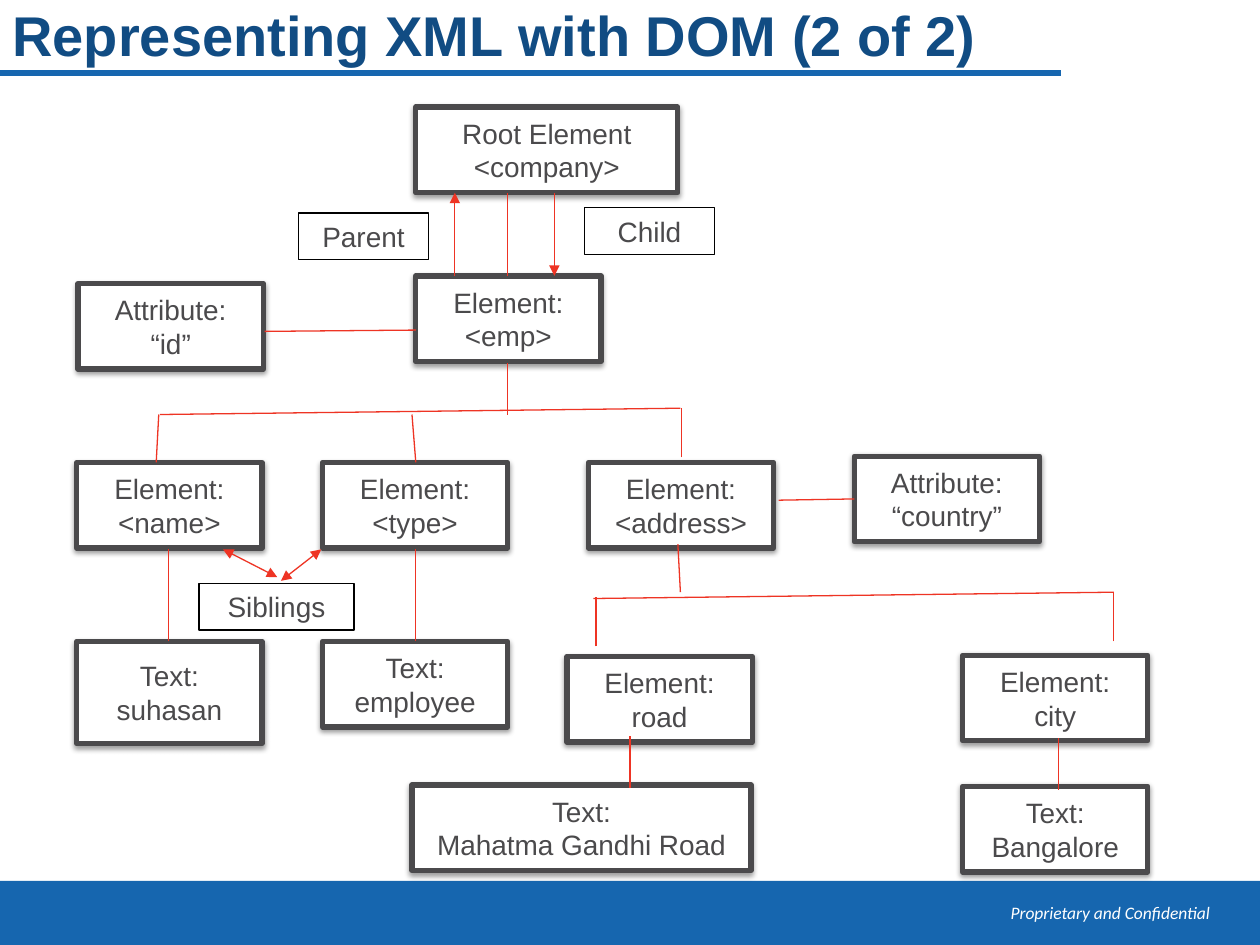
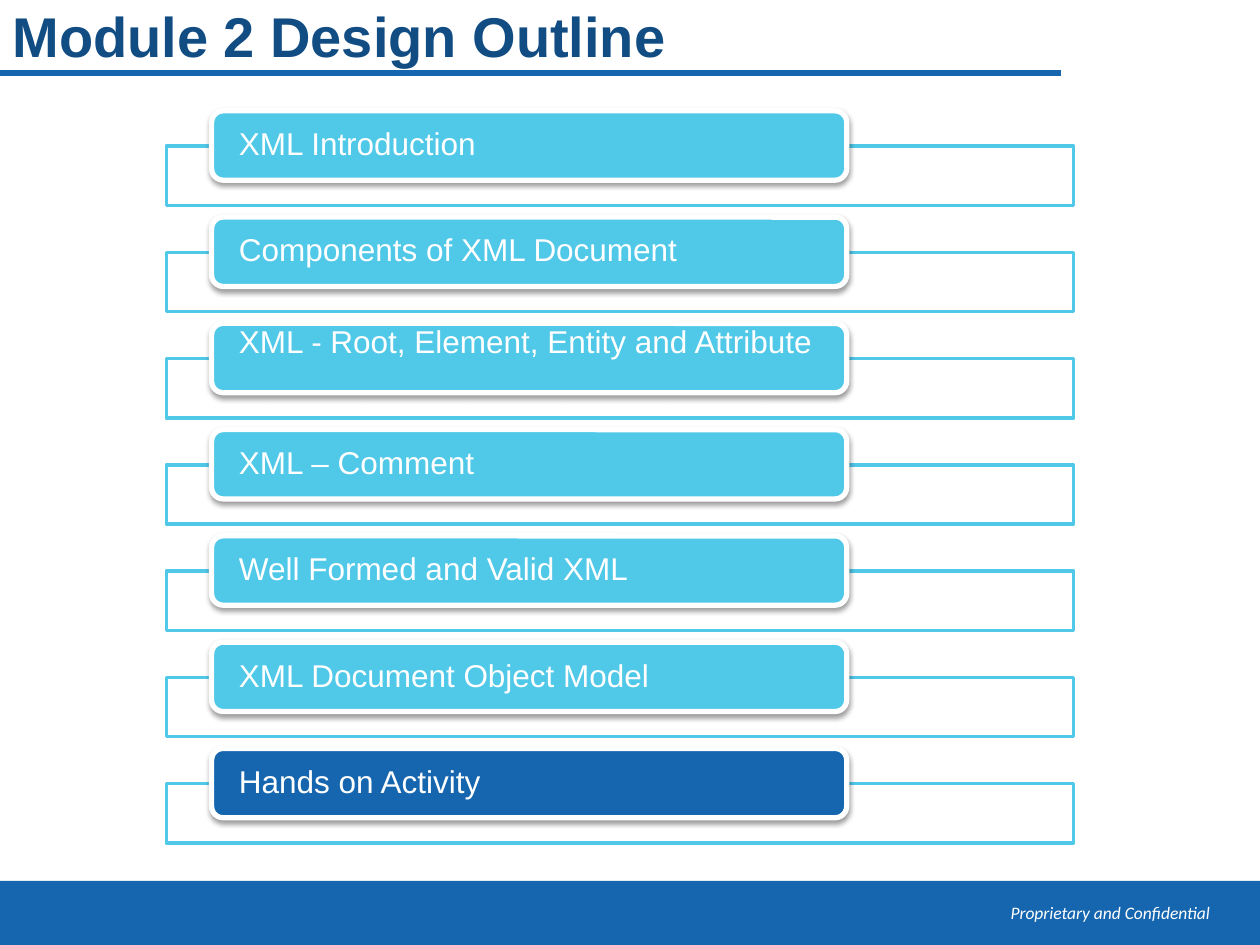
from lxml import etree
from pptx import Presentation
from pptx.dml.color import RGBColor
from pptx.enum.shapes import MSO_CONNECTOR, MSO_SHAPE
from pptx.enum.text import MSO_ANCHOR, PP_ALIGN
from pptx.oxml.ns import qn
from pptx.util import Inches, Pt

BLUE = RGBColor(0x16, 0x66, 0xAF)
NAVY = RGBColor(0x11, 0x4C, 0x83)
SKY = RGBColor(0x50, 0xC8, 0xE8)
RED = RGBColor(0xEE, 0x34, 0x24)
GRAY = RGBColor(0x4B, 0x4A, 0x4C)
WHITE = RGBColor(0xFF, 0xFF, 0xFF)
BLACK = RGBColor(0, 0, 0)

RECT, ROUND = MSO_SHAPE.RECTANGLE, MSO_SHAPE.ROUNDED_RECTANGLE
STRAIGHT = MSO_CONNECTOR.STRAIGHT
LEFT, CENTER, RIGHT = PP_ALIGN.LEFT, PP_ALIGN.CENTER, PP_ALIGN.RIGHT
TOP, MIDDLE = MSO_ANCHOR.TOP, MSO_ANCHOR.MIDDLE


def write(sp, text, size=16, color=GRAY, font="Arial", bold=False, italic=False,
          align=CENTER, anchor=MIDDLE, spacing=None, insets=(0.1, 0.05, 0.1, 0.05)):
    """Fill a shape with text, one paragraph per line."""
    tf = sp.text_frame
    tf.word_wrap = True
    tf.vertical_anchor = anchor
    tf.margin_left, tf.margin_top, tf.margin_right, tf.margin_bottom = map(Inches, insets)
    for i, line in enumerate(text.split("\n")):
        p = tf.add_paragraph() if i else tf.paragraphs[0]
        p.alignment = align
        if spacing:
            p.line_spacing = spacing
        r = p.add_run()
        r.text = line
        r.font.name, r.font.size = font, Pt(size)
        r.font.bold, r.font.italic = bold, italic
        r.font.color.rgb = color


class Deck:
    """Holds the deck style and the current slide."""

    def __init__(self):
        """Start an empty 10 by 7.5 inch deck."""
        self.prs = Presentation()
        self.prs.slide_width, self.prs.slide_height = Inches(10), Inches(7.5)
        self.s = None

    def slide(self, title, x, y, w, h):
        """Add a slide with footer band, title rule and title."""
        self.s = self.prs.slides.add_slide(self.prs.slide_layouts[6])
        self.shape(0, 6.99, 10, 0.51, fill=BLUE)
        self.text("Proprietary and Confidential", 7.35, 7.11, 2.35, 0.32, size=10,
                  color=WHITE, font="Calibri", italic=True, align=RIGHT, anchor=TOP)
        self.line(0, 0.58, 8.42, 0.58, color=BLUE, width=3)
        self.text(title, x, y, w, h, size=32, color=NAVY, bold=True,
                  align=LEFT, spacing=0.88)

    def text(self, text, x, y, w, h, **fmt):
        """Add a text box."""
        sp = self.s.shapes.add_textbox(Inches(x), Inches(y), Inches(w), Inches(h))
        write(sp, text, **fmt)

    def shape(self, x, y, w, h, kind=RECT, fill=None, line=None, width=0.75, shadow=False):
        """Add a preset shape, with a soft shadow below it if wanted."""
        sp = self.s.shapes.add_shape(kind, Inches(x), Inches(y), Inches(w), Inches(h))
        if fill is None:
            sp.fill.background()
        else:
            sp.fill.solid()
            sp.fill.fore_color.rgb = fill
        if line is None:
            sp.line.fill.background()
        else:
            sp.line.color.rgb = line
            sp.line.width = Pt(width)
        sp.shadow.inherit = False
        if shadow:
            effects = sp.element.spPr.find(qn("a:effectLst"))
            outer = etree.SubElement(effects, qn("a:outerShdw"), blurRad=str(Pt(3.1)),
                                     dist=str(Pt(1.6)), dir="5400000", rotWithShape="0")
            color = etree.SubElement(outer, qn("a:srgbClr"), val=str(BLACK))
            etree.SubElement(color, qn("a:alpha"), val="38000")
        return sp

    def line(self, x1, y1, x2, y2, color=RED, width=0.75, ends=()):
        """Add a straight line; ends names the ends that carry an arrowhead."""
        c = self.s.shapes.add_connector(STRAIGHT, Inches(x1), Inches(y1),
                                        Inches(x2), Inches(y2))
        c.line.color.rgb = color
        c.line.width = Pt(width)
        spPr = c.element.spPr
        for end in ends:
            etree.SubElement(spPr.find(qn("a:ln")), qn(f"a:{end}End"), type="triangle")
        etree.SubElement(spPr, qn("a:effectLst"))

    def node(self, text, x, y, w=1.47, h=0.68):
        """Add a tree node."""
        sp = self.shape(x, y, w, h, fill=WHITE, line=GRAY, width=3, shadow=True)
        write(sp, text)

    def label(self, text, x, y, w=1.03):
        """Add a thinly framed label for a relation."""
        write(self.shape(x, y, w, 0.37, line=BLACK), text)

    def topic(self, text, y, fill=SKY, anchor=MIDDLE):
        """Add an outline row: a frame with a rounded bar over it."""
        self.shape(1.32, y + 0.28, 7.2, 0.47, fill=WHITE, line=SKY, width=2)
        bar = self.shape(1.68, y, 5.04, 0.55, kind=ROUND, fill=fill, line=WHITE,
                         width=3, shadow=True)
        write(bar, text, size=18, color=WHITE, align=LEFT, anchor=anchor,
              spacing=0.9, insets=(0.19, 0, 0.1, 0))


NODES = [
    ("Root Element\n<company>", 3.3, 0.85, 2.08),
    ("Element:\n<emp>", 3.3, 2.19),
    ("Attribute:\n“id”", 0.62, 2.25),
    ("Element:\n<name>", 0.61, 3.67),
    ("Element:\n<type>", 2.56, 3.67),
    ("Element:\n<address>", 4.67, 3.67),
    ("Attribute:\n“country”", 6.78, 3.62),
    ("Text:\nsuhasan", 0.61, 5.09, 1.47, 0.81),
    ("Text:\nemployee", 2.56, 5.09),
    ("Element:\nroad", 4.5, 5.21),
    ("Element:\ncity", 7.64, 5.2),
    ("Text:\nMahatma Gandhi Road", 3.27, 6.23, 2.69),
    ("Text:\nBangalore", 7.64, 6.24),
]
BRANCHES = [
    (4.03, 1.53, 4.03, 2.19),  # company to emp
    (2.1, 2.63, 3.3, 2.62),    # id to emp
    (4.03, 3.29, 4.03, 2.88),  # emp to its children
    (1.27, 3.29, 5.4, 3.24),
    (1.26, 3.29, 1.24, 3.67),
    (3.3, 3.67, 3.27, 3.29),
    (5.41, 3.63, 5.41, 3.24),
    (1.34, 4.36, 1.34, 5.09),  # name and type to their text
    (3.3, 4.36, 3.3, 5.09),
    (6.18, 3.97, 6.78, 3.96),  # address to country
    (5.38, 4.32, 5.4, 4.7),    # address to its children
    (4.71, 4.75, 8.84, 4.7),
    (4.73, 5.13, 4.73, 4.74),
    (8.84, 5.09, 8.84, 4.7),
    (5, 6.25, 5, 5.84),        # road and city to their text
    (8.4, 6.27, 8.4, 5.86),
]
TOPICS = [
    "XML Introduction",
    "Components of XML Document",
    "XML - Root, Element, Entity and Attribute",
    "XML – Comment",
    "Well Formed and Valid XML",
    "XML Document Object Model",
    "Hands on Activity",
]


def dom_tree(deck):
    """Draw the DOM tree slide."""
    deck.slide("Representing XML with DOM (2 of 2)", 0, 0, 8.53, 0.62)
    for node in NODES:
        deck.node(*node)
    for branch in BRANCHES:
        deck.line(*branch)
    deck.line(3.61, 2.19, 3.61, 1.53, ends=["tail"])
    deck.line(4.4, 1.53, 4.4, 2.19, ends=["tail"])
    deck.line(1.77, 4.36, 2.2, 4.58, ends=["head", "tail"])
    deck.line(2.23, 4.61, 2.55, 4.36, ends=["head", "tail"])
    deck.label("Parent", 2.37, 1.69)
    deck.label("Child", 4.64, 1.65)
    deck.label("Siblings", 1.58, 4.63, w=1.23)


def outline(deck):
    """Draw the module outline; the last topic is the current one."""
    deck.slide("Module 2 Design Outline", 0, 0.08, 7.5, 0.47)
    first, last = 0.88, 5.94
    end = len(TOPICS) - 1
    for i, topic in enumerate(TOPICS):
        deck.topic(topic, first + (last - first) * i / end,
                   fill=BLUE if i == end else SKY, anchor=TOP if i == 2 else MIDDLE)


deck = Deck()
dom_tree(deck)
outline(deck)
deck.prs.save("out.pptx")
